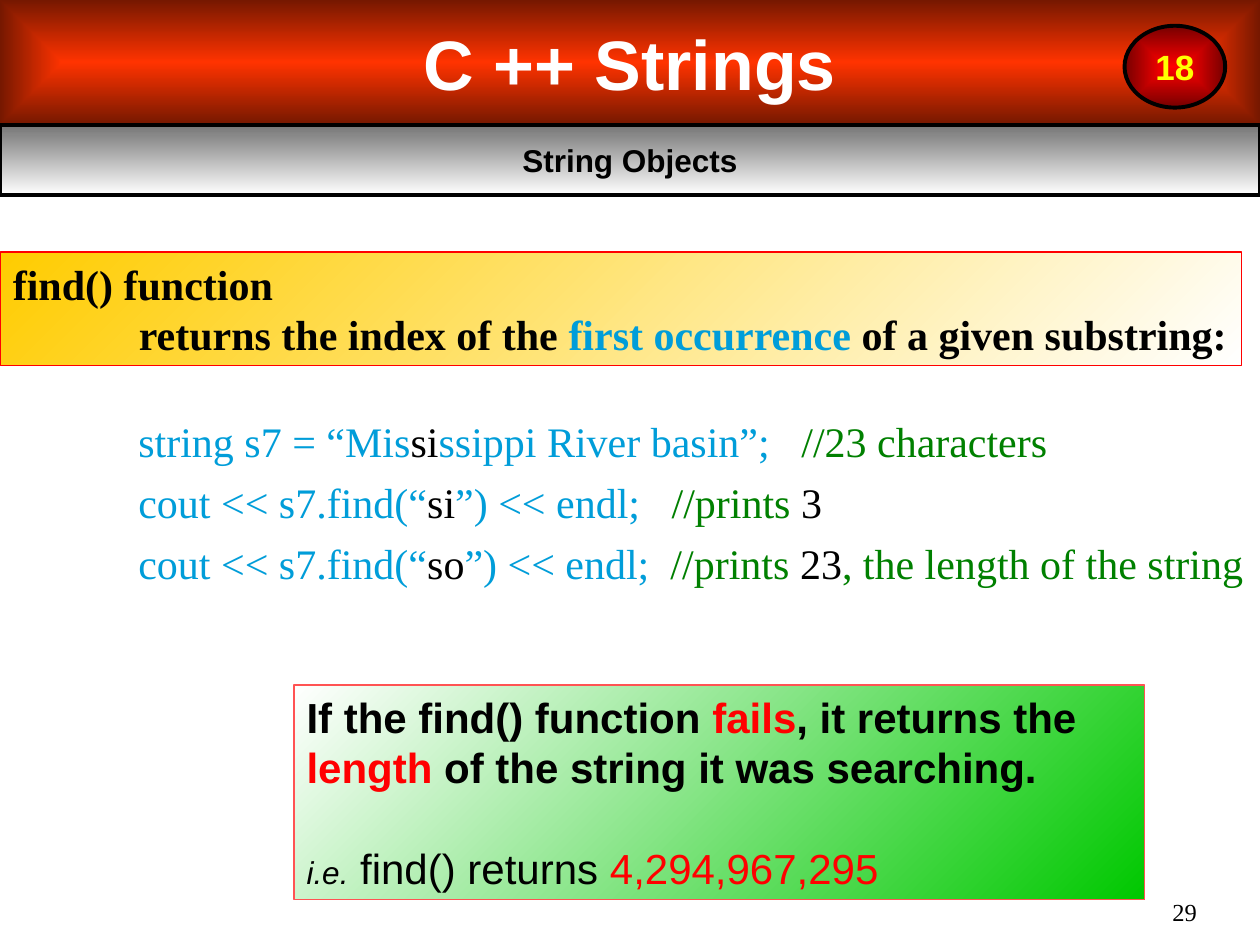
import pptx
import pptx.util
import pptx.dml.color
import pptx.enum.shapes
import pptx.enum.text
import pptx.oxml
import pptx.oxml.ns

Cm = pptx.util.Cm
Pt = pptx.util.Pt
SHAPE = pptx.enum.shapes.MSO_SHAPE
ALIGN = pptx.enum.text.PP_ALIGN
ANCHOR = pptx.enum.text.MSO_ANCHOR
FIT = pptx.enum.text.MSO_AUTO_SIZE
SANS, SERIF = "Arial", "Times New Roman"
BLACK, BLUE, GREEN, RED = "000000", "009DD9", "008000", "FF0000"
INDENT = str(Cm(2.54))


def color(value):
    return pptx.dml.color.RGBColor.from_string(value)


def write(para, spans, font, size, bold=False):
    para.font.name = font
    para.font.size = Pt(size)
    para.font.bold = bold
    for text, ink in spans:
        span = para.add_run()
        span.text = text
        span.font.color.rgb = color(ink)


deck = pptx.Presentation()
deck.slide_width, deck.slide_height = Cm(25.4), Cm(19.05)
page = deck.slides.add_slide(deck.slide_layouts[6])

panels = {}
for name, kind, place, stops, angle, line in [
    ("title", SHAPE.RECTANGLE, (0, 0, 25.4, 2.51), ("FF3300", "761800"), None, None),
    ("subtitle", SHAPE.RECTANGLE, (0, 2.53, 25.4, 1.4), ("767676", "FFFFFF"), 270, (BLACK, 2.25)),
    ("badge", SHAPE.OVAL, (22.67, 0.52, 2.03, 1.65), (RED, "760000"), None, (BLACK, 2.25)),
    ("definition", SHAPE.RECTANGLE, (0.01, 5.08, 25.02, 2.29), ("FFCC00", "FFFFFF"), 315, (RED, 0.75)),
    ("failure", SHAPE.RECTANGLE, (5.93, 13.81, 17.15, 4.32), ("FFFFFF", "00C800"), 315, ("FF5353", 0.75)),
]:
    panel = page.shapes.add_shape(kind, *map(Cm, place))
    panel.shadow.inherit = False
    panel.fill.gradient()
    for stop, ink, position in zip(panel.fill.gradient_stops, stops, (0, 1)):
        stop.color.rgb = color(ink)
        stop.position = position
    if angle is None:
        linear = panel.fill._xPr.find(".//" + pptx.oxml.ns.qn("a:lin"))
        linear.getparent().replace(linear, pptx.oxml.parse_xml(
            f'<a:path {pptx.oxml.ns.nsdecls("a")} path="rect">'
            '<a:fillToRect l="50000" t="50000" r="50000" b="50000"/></a:path>'))
    else:
        panel.fill.gradient_angle = angle
    if line:
        panel.line.color.rgb = color(line[0])
        panel.line.width = Pt(line[1])
    else:
        panel.line.fill.background()
    panels[name] = panel.text_frame

for name, text, size, ink in [
    ("title", "C ++ Strings", 40, "FFFFFF"),
    ("subtitle", "String Objects", 18, BLACK),
    ("badge", "18", 20, "FFFF00"),
]:
    para = panels[name].paragraphs[0]
    para.alignment = ALIGN.CENTER
    write(para, [(text, ink)], SANS, size, True)
panels["badge"].word_wrap = False

for name in ("definition", "failure"):
    panels[name].vertical_anchor = ANCHOR.TOP
    panels[name].auto_size = FIT.SHAPE_TO_FIT_TEXT
    for para in (panels[name].paragraphs[0], panels[name].add_paragraph()):
        para.alignment = ALIGN.LEFT

panels["definition"].word_wrap = False
heading, meaning = panels["definition"].paragraphs
meaning._p.get_or_add_pPr().set("marL", INDENT)
write(heading, [("find() function", BLACK)], SERIF, 24, True)
write(meaning, [("returns the index of the ", BLACK), ("first occurrence ", BLUE),
                ("of a given substring:", BLACK)], SERIF, 24, True)

panels["failure"].word_wrap = True
rule, example = panels["failure"].paragraphs
write(rule, [("If the find() function ", BLACK), ("fails", RED), (", it returns the ", BLACK),
             ("length", RED), (" of the string it was searching.", BLACK)], SANS, 24, True)
write(example, [("i.e.", BLACK), (" find() returns ", BLACK), ("4,294,967,295", RED)], SANS, 24)
example.space_before = Pt(29)
example.runs[0].font.size = Pt(18)
example.runs[0].font.italic = True

code = page.shapes.add_textbox(Cm(0), Cm(8.26), Cm(25.4), Cm(3.73)).text_frame
code.word_wrap = True
code.auto_size = FIT.SHAPE_TO_FIT_TEXT
for index, spans in enumerate([
    [("string s7 = “Mis", BLUE), ("si", BLACK), ("ssippi River basin”;   ", BLUE),
     ("//23 characters", GREEN)],
    [("cout << s7.find(“", BLUE), ("si", BLACK), ("”) << endl;   ", BLUE),
     ("//prints ", GREEN), ("3", BLACK)],
    [("cout << s7.find(“", BLUE), ("so", BLACK), ("”) << endl;  ", BLUE),
     ("//prints ", GREEN), ("23", BLACK), (", the length of the string", GREEN)],
]):
    para = code.add_paragraph() if index else code.paragraphs[0]
    para._p.get_or_add_pPr().set("marL", INDENT)
    if index:
        para.space_before = Pt(6)
    write(para, spans, SERIF, 24)

number = page.shapes.add_textbox(Cm(22.02), Cm(17.65), Cm(2.11), Cm(1.02)).text_frame
number.margin_left = number.margin_right = number.margin_top = number.margin_bottom = 0
number.word_wrap = True
number.vertical_anchor = ANCHOR.BOTTOM
number.paragraphs[0].alignment = ALIGN.RIGHT
write(number.paragraphs[0], [("29", BLACK)], SERIF, 14)

deck.save("out.pptx")
